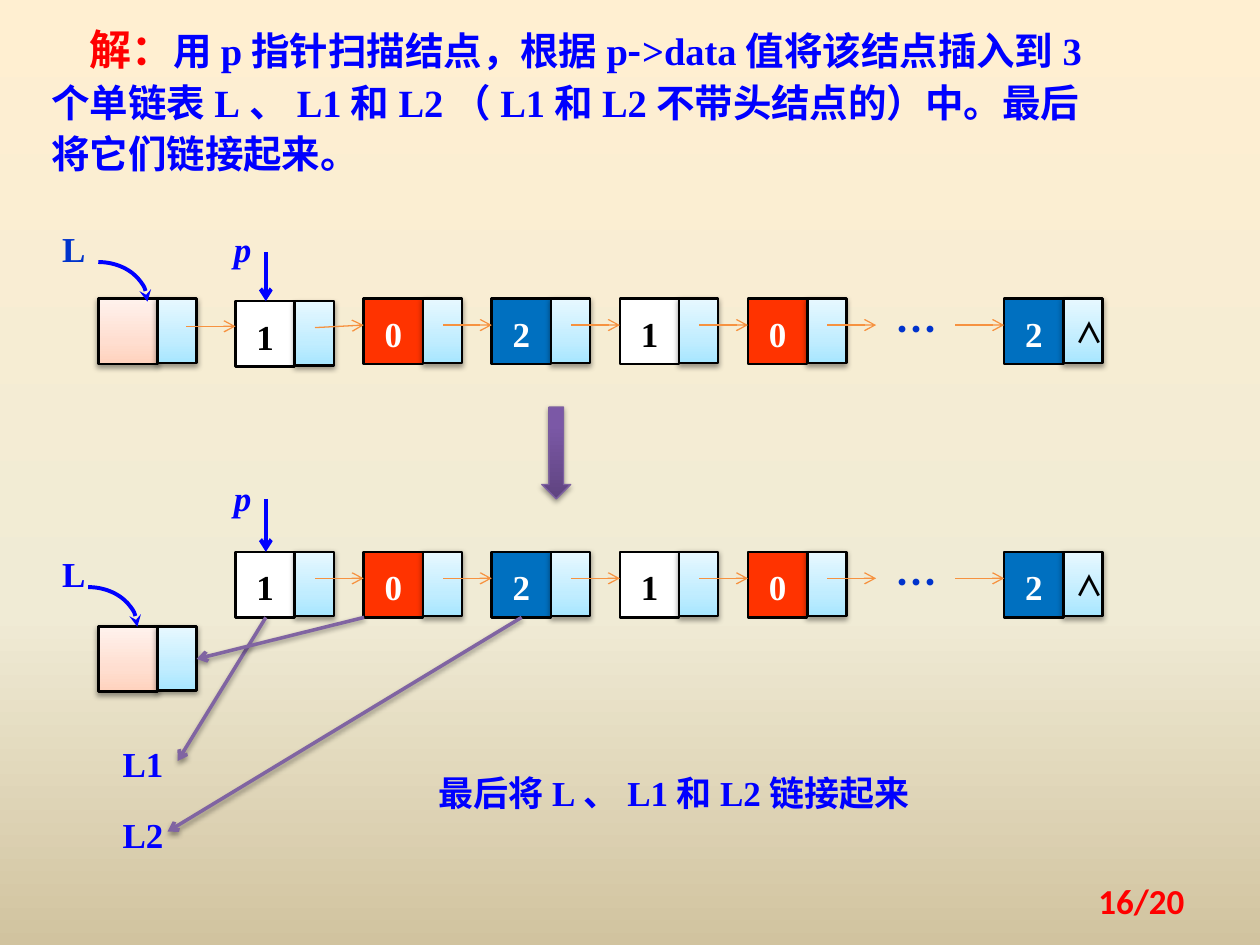
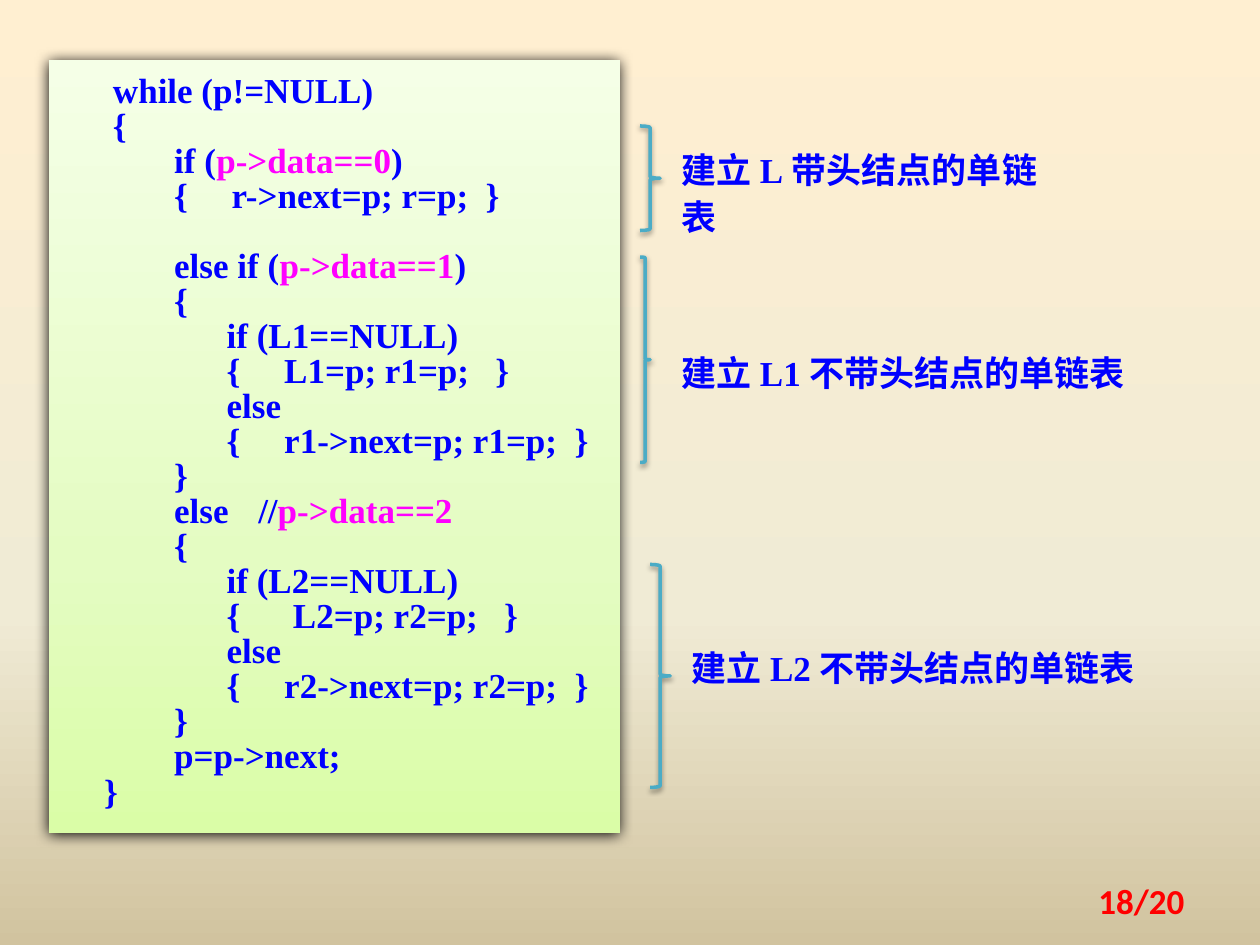
from lxml import etree
from pptx import Presentation
from pptx.dml.color import RGBColor
from pptx.enum.shapes import MSO_CONNECTOR, MSO_SHAPE
from pptx.enum.text import MSO_ANCHOR, PP_ALIGN
from pptx.oxml.ns import qn
from pptx.util import Inches, Pt

RECTANGLE = MSO_SHAPE.RECTANGLE
DOWN_ARROW = MSO_SHAPE.DOWN_ARROW
ARC = MSO_SHAPE.ARC
RIGHT_BRACE = MSO_SHAPE.RIGHT_BRACE
STRAIGHT = MSO_CONNECTOR.STRAIGHT
TOP, MIDDLE = MSO_ANCHOR.TOP, MSO_ANCHOR.MIDDLE
LEFT, CENTER, RIGHT = PP_ALIGN.LEFT, PP_ALIGN.CENTER, PP_ALIGN.RIGHT

SERIF = "Times New Roman"
CHINESE = "Noto Sans CJK SC"
SANS = "Calibri"

BLACK = RGBColor(0x00, 0x00, 0x00)
WHITE = RGBColor(0xFF, 0xFF, 0xFF)
RED = RGBColor(0xFF, 0x00, 0x00)
BLUE = RGBColor(0x00, 0x00, 0xFF)
DEEP_BLUE = RGBColor(0x00, 0x33, 0xCC)
MAGENTA = RGBColor(0xFF, 0x00, 0xFF)
ORANGE = RGBColor(0xF6, 0x92, 0x40)
PURPLE = RGBColor(0x80, 0x64, 0xA2)
ARROW_EDGE = RGBColor(0x7D, 0x60, 0xA0)
TEAL = RGBColor(0x4B, 0xAC, 0xC6)
CELL_RED = RGBColor(0xFF, 0x33, 0x00)
CELL_BLUE = RGBColor(0x00, 0x70, 0xC0)

BACKGROUND = [(0, "FFEFD1"), (65, "F0EBD5"), (100, "D1C39F")]
POINTER_FILL = [(0, "A7E6FF"), (35, "C1EDFF"), (100, "E7F8FF")]
HEAD_FILL = [(0, "FFD2BD"), (35, "FFDED0"), (100, "FFF2ED")]
ARROW_FILL = [(0, "5F4480"), (80, "7B58A6"), (100, "7C57A8")]
CODE_FILL = [(0, "DAFDA7"), (35, "E4FCC2"), (100, "F5FFE7")]

SOFT_SHADOW = (38, 3.1, 1.6)
CODE_SHADOW = (100, 8.5, 1)


def paint(fill, element, stops, angle=90):
    fill.gradient()
    fill.gradient_angle = angle
    stop_list = element.find(".//" + qn("a:gsLst"))
    for stop in list(stop_list):
        stop_list.remove(stop)
    for position, color in stops:
        stop = etree.SubElement(stop_list, qn("a:gs"), pos=str(position * 1000))
        etree.SubElement(stop, qn("a:srgbClr"), val=color)


def add_item(slide, position, kind=None, fill=None, line=None, width=1.5, shadow=None,
             paragraphs=(), size=20, font=SERIF, italic=False, align=CENTER,
             anchor=TOP, margins=(0.1, 0.05, 0.1, 0.05), spacing=1.1):
    box = [Inches(value) for value in position]
    if kind is None:
        shape = slide.shapes.add_textbox(*box)
    else:
        shape = slide.shapes.add_shape(kind, *box)
        shape.shadow.inherit = False
        if fill is None:
            shape.fill.background()
        elif isinstance(fill, RGBColor):
            shape.fill.solid()
            shape.fill.fore_color.rgb = fill
        else:
            paint(shape.fill, shape._element, fill)
        if line is None:
            shape.line.fill.background()
        else:
            shape.line.color.rgb = line
            shape.line.width = Pt(width)
        if shadow:
            opacity, blur, distance = shadow
            effects = shape._element.spPr.find(qn("a:effectLst"))
            outer = etree.SubElement(effects, qn("a:outerShdw"), blurRad=str(Pt(blur)),
                                     dist=str(Pt(distance)), dir="5400000", rotWithShape="0")
            color = etree.SubElement(outer, qn("a:srgbClr"), val="000000")
            etree.SubElement(color, qn("a:alpha"), val=str(opacity * 1000))
    frame = shape.text_frame
    frame.word_wrap = True
    frame.vertical_anchor = anchor
    (frame.margin_left, frame.margin_top,
     frame.margin_right, frame.margin_bottom) = [Inches(value) for value in margins]
    for index, runs in enumerate(paragraphs):
        paragraph = frame.add_paragraph() if index else frame.paragraphs[0]
        paragraph.alignment = align
        paragraph.line_spacing = spacing
        for text, color, *override in runs:
            run = paragraph.add_run()
            run.text = text
            run.font.size = Pt(override[0] if override else size)
            run.font.name = override[1] if override else font
            run.font.bold = True
            run.font.italic = italic
            run.font.color.rgb = color
            etree.SubElement(run._r.rPr, qn("a:ea"), typeface=CHINESE)
    return shape


presentation = Presentation()
presentation.slide_width = Inches(10)
presentation.slide_height = Inches(7.5)

slides = []
for page in ("16/20", "18/20"):
    slide = presentation.slides.add_slide(presentation.slide_layouts[6])
    paint(slide.background.fill, slide._element, BACKGROUND, 270)
    add_item(slide, (7.17, 6.95, 2.33, 0.4), paragraphs=[[(page, RED)]], font=SANS,
             align=RIGHT, anchor=MIDDLE, spacing=1.0)
    slides.append(slide)
list_slide, code_slide = slides

solution = add_item(list_slide, (0.31, 0.1, 8.44, 1.36), size=22, align=LEFT, paragraphs=[[
    ("解：", RED, 24, CHINESE),
    ("用p指针扫描结点，根据p", BLUE),
    ("-", BLUE, 22, CHINESE),
    (">data值将该结点插入到3个单链表L、L1和L2（L1和L2不带头结点的）中。最后将它们链接起来。", BLUE),
]])
solution.text_frame.paragraphs[0]._p.get_or_add_pPr().set("indent", str(Inches(0.3)))

CELL_STYLES = {"0": (CELL_RED, WHITE), "1": (WHITE, BLACK), "2": (CELL_BLUE, WHITE)}
NODES = ["1", "0", "2", "1", "0", "…", "2"]
FIRST_LEFT = 1.87
PITCH = (7.97 - FIRST_LEFT) / 6
DATA_WIDTH, DATA_HEIGHT = 0.47, 0.52
POINTER_WIDTH, POINTER_HEIGHT = 0.31, 0.51
NO_MARGINS = (0, 0, 0, 0)

arrows = []
for row_top, first_top, head_top in ((2.37, 2.39, 2.37), (4.38, 4.38, 4.97)):
    add_item(list_slide, (0.78, head_top, DATA_WIDTH, DATA_HEIGHT), RECTANGLE,
             HEAD_FILL, BLACK, shadow=SOFT_SHADOW)
    add_item(list_slide, (1.25, head_top, POINTER_WIDTH, POINTER_HEIGHT), RECTANGLE,
             POINTER_FILL, BLACK, shadow=SOFT_SHADOW)
    for index, value in enumerate(NODES):
        left = FIRST_LEFT + PITCH * index
        top = row_top if index else first_top
        is_last = index == len(NODES) - 1
        if not is_last:
            arrows.append(((left + 0.63, top + 0.21), (left + PITCH, row_top + 0.21),
                           ORANGE, 0.75, None))
        if value == "…":
            add_item(list_slide, (left - 0.03, top, 0.7, 0.44), size=24, font=CHINESE,
                     margins=NO_MARGINS, paragraphs=[[(value, DEEP_BLUE)]])
            continue
        cell_fill, digit_color = CELL_STYLES[value]
        add_item(list_slide, (left, top, DATA_WIDTH, DATA_HEIGHT), RECTANGLE, cell_fill,
                 BLACK, paragraphs=[[(value, digit_color)]], anchor=MIDDLE)
        add_item(list_slide, (left + DATA_WIDTH, top, POINTER_WIDTH, POINTER_HEIGHT),
                 RECTANGLE, POINTER_FILL, BLACK, shadow=SOFT_SHADOW, size=16, font=CHINESE,
                 anchor=MIDDLE, paragraphs=[[("∧", BLACK)]] if is_last else ())

for left, top in ((0.39, 2.08), (0.31, 4.66)):
    arc = add_item(list_slide, (left, top, 0.78, 0.63), ARC, line=BLUE, width=2.25)
    etree.SubElement(arc._element.spPr.find(qn("a:ln")), qn("a:tailEnd"), type="stealth")

for text, left, top, color in (("L", 0.39, 1.77, DEEP_BLUE), ("p", 1.73, 1.77, BLUE),
                               ("L", 0.39, 4.35, BLUE), ("p", 1.73, 3.75, BLUE),
                               ("L1", 0.94, 5.86, BLUE), ("L2", 0.94, 6.42, BLUE)):
    add_item(list_slide, (left, top, 0.39, 0.37), paragraphs=[[(text, color)]],
             italic=text == "p", margins=NO_MARGINS)

add_item(list_slide, (4.3, 3.23, 0.23, 0.73), DOWN_ARROW, ARROW_FILL, ARROW_EDGE, 0.75,
         SOFT_SHADOW)
add_item(list_slide, (3.28, 6.04, 4.14, 0.47),
         paragraphs=[[("最后将L、L1和L2链接起来", BLUE)]])

arrows += [
    ((1.48, 2.59), (1.87, 2.59), ORANGE, 0.75, None),
    ((2.11, 2), (2.11, 2.39), BLUE, 2.25, None),
    ((2.11, 3.96), (2.11, 4.38), BLUE, 2.25, None),
    ((2.11, 4.9), (1.41, 6.04), PURPLE, 2, SOFT_SHADOW),
    ((2.89, 4.9), (1.56, 5.23), PURPLE, 2, SOFT_SHADOW),
    ((4.14, 4.9), (1.33, 6.6), PURPLE, 2, SOFT_SHADOW),
]
for start, end, color, width, shadow in arrows:
    connector = list_slide.shapes.add_connector(
        STRAIGHT, *[Inches(value) for value in start + end])
    connector.line.color.rgb = color
    connector.line.width = Pt(width)
    properties = connector._element.spPr
    etree.SubElement(properties.find(qn("a:ln")), qn("a:tailEnd"), type="arrow")
    effects = etree.SubElement(properties, qn("a:effectLst"))
    if shadow:
        opacity, blur, distance = shadow
        outer = etree.SubElement(effects, qn("a:outerShdw"), blurRad=str(Pt(blur)),
                                 dist=str(Pt(distance)), dir="5400000", rotWithShape="0")
        shade = etree.SubElement(outer, qn("a:srgbClr"), val="000000")
        etree.SubElement(shade, qn("a:alpha"), val=str(opacity * 1000))

CODE = """\
     while (p!=NULL)
     {
            if (|p->data==0|)
            {     r->next=p; r=p;  }
            else if (|p->data==1|)
            {
                  if (L1==NULL)
                  {     L1=p; r1=p;   }
                  else
                  {     r1->next=p; r1=p;  }
            }
            else \t//|p->data==2
            {
                  if (L2==NULL)
                  {      L2=p; r2=p;   }
                  else
                  {     r2->next=p; r2=p;  }
            }
            p=p->next;
    }"""
code_lines = [[(part, MAGENTA if index % 2 else BLUE)
               for index, part in enumerate(code_line.split("|"))]
              for code_line in CODE.split("\n")]
code_box = add_item(code_slide, (0.39, 0.48, 4.53, 6.13), RECTANGLE, CODE_FILL,
                    shadow=CODE_SHADOW, paragraphs=code_lines, align=LEFT,
                    margins=(0.16, 0.12, 0.1, 0.12), spacing=Pt(20))
code_box.text_frame.paragraphs[4].space_before = Pt(20)

for brace, note, text in (
    ((5.08, 1, 0.16, 0.83), (5.31, 1.1, 3.2, 0.45), "建立L带头结点的单链表"),
    ((5.08, 2.04, 0.08, 1.63), (5.31, 2.71, 3.91, 0.47), "建立L1不带头结点的单链表"),
    ((5.16, 4.48, 0.16, 1.77), (5.39, 5.05, 3.98, 0.47), "建立L2不带头结点的单链表"),
):
    add_item(code_slide, brace, RIGHT_BRACE, line=TEAL, width=2, shadow=SOFT_SHADOW)
    add_item(code_slide, note, paragraphs=[[(text, BLUE)]], align=LEFT)

presentation.save("out.pptx")
